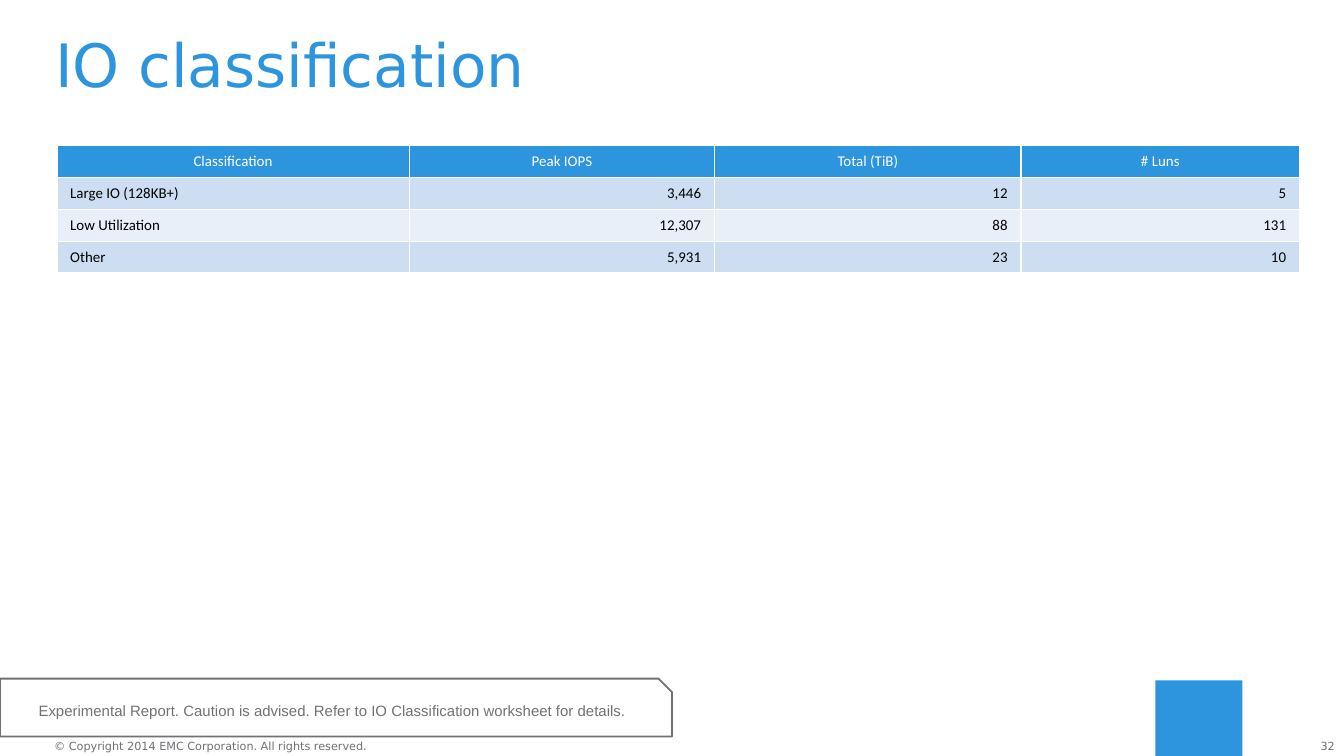
import pptx
import pptx.dml.color
import pptx.enum.shapes
import pptx.enum.text
import pptx.oxml
import pptx.oxml.ns
import pptx.util
from dataclasses import dataclass

Pt = pptx.util.Pt
Align = pptx.enum.text.PP_ALIGN
Anchor = pptx.enum.text.MSO_ANCHOR
Preset = pptx.enum.shapes.MSO_SHAPE


@dataclass(frozen=True)
class Theme:
    blue: str = "2C95DD"
    gray: str = "717074"
    white: str = "FFFFFF"
    black: str = "000000"
    bands: tuple = ("CDDDF2", "E8EFF9")
    title_size: float = 32
    body_size: float = 8
    footer_size: float = 6
    title_font: str = "DejaVu Sans"
    table_font: str = "Calibri"
    note_font: str = "Arial"


def color(value):
    return pptx.dml.color.RGBColor.from_string(value)


def set_values(target, values):
    for name, value in values.items():
        setattr(target, name, value)


class SlideBuilder:
    def __init__(self, slide, theme):
        self.slide = slide
        self.theme = theme

    def fill_text(self, frame, text, size, font, text_color, align=Align.LEFT, spacing=None):
        paragraph = frame.paragraphs[0]
        paragraph.text = text
        set_values(paragraph, {"alignment": align, "line_spacing": spacing})
        set_values(paragraph.font, {"size": Pt(size), "name": font, "bold": False})
        paragraph.font.color.rgb = color(text_color)

    def frame(self, shape, anchor, wrap=True):
        set_values(shape.text_frame, {
            "margin_left": 0, "margin_top": 0, "margin_right": 0, "margin_bottom": 0,
            "word_wrap": wrap, "vertical_anchor": anchor,
        })
        return shape.text_frame

    def text(self, box, text, size, text_color, anchor=Anchor.TOP, wrap=True, **layout):
        shape = self.slide.shapes.add_textbox(*map(Pt, box))
        self.fill_text(self.frame(shape, anchor, wrap), text, size,
                       self.theme.title_font, text_color, **layout)

    def shape(self, preset, box, fill, line=None):
        shape = self.slide.shapes.add_shape(preset, *map(Pt, box))
        shape.shadow.inherit = False
        shape.fill.solid()
        shape.fill.fore_color.rgb = color(fill)
        if line:
            shape.line.color.rgb = color(line)
            shape.line.width = Pt(1)
        else:
            shape.line.fill.background()
        return shape

    def note(self, box, text):
        theme = self.theme
        shape = self.shape(Preset.SNIP_1_RECTANGLE, box, theme.white, theme.gray)
        shape.adjustments[0] = 0.233
        self.fill_text(self.frame(shape, Anchor.MIDDLE), text, theme.body_size,
                       theme.note_font, theme.gray, Align.CENTER)

    def border(self, cell):
        properties = cell._tc.get_or_add_tcPr()
        for position, side in enumerate(("lnL", "lnR", "lnT", "lnB")):
            properties.insert(position, pptx.oxml.parse_xml(
                f'<a:{side} {pptx.oxml.ns.nsdecls("a")} w="{Pt(1)}"><a:solidFill>'
                f'<a:srgbClr val="{self.theme.white}"/></a:solidFill></a:{side}>'))

    def table(self, left, top, widths, row_height, rows):
        theme = self.theme
        table = self.slide.shapes.add_table(
            len(rows), len(widths), Pt(left), Pt(top),
            Pt(sum(widths)), Pt(row_height * len(rows))).table
        for column, width in zip(table.columns, widths):
            column.width = Pt(width)
        for row_index, row in enumerate(rows):
            table.rows[row_index].height = Pt(row_height)
            header = row_index == 0
            fill = theme.blue if header else theme.bands[(row_index - 1) % 2]
            for column_index, value in enumerate(row):
                cell = table.cell(row_index, column_index)
                cell.fill.solid()
                cell.fill.fore_color.rgb = color(fill)
                self.border(cell)
                body_align = Align.RIGHT if column_index else Align.LEFT
                self.fill_text(cell.text_frame, value, theme.body_size, theme.table_font,
                               theme.white if header else theme.black,
                               Align.CENTER if header else body_align)


def main():
    presentation = pptx.Presentation()
    presentation.slide_width = Pt(720)
    presentation.slide_height = Pt(405)
    theme = Theme()
    builder = SlideBuilder(
        presentation.slides.add_slide(presentation.slide_layouts[6]), theme)

    # Footer: page number, corner block and copyright line
    builder.text((692.6, 396, 22.5, 7.2), "32", theme.footer_size, theme.gray,
                 align=Align.RIGHT)
    builder.shape(Preset.RECTANGLE, (619, 364.5, 46.6, 40.5), theme.blue)
    builder.text((29, 396, 170.6, 7.2),
                 "© Copyright 2014 EMC Corporation. All rights reserved.",
                 theme.footer_size, theme.gray, wrap=False)

    # Title
    builder.text((29.5, 18, 666, 36), "IO classification", theme.title_size,
                 theme.blue, Anchor.BOTTOM, spacing=0.9)

    # Classification table
    builder.table(30.4, 78, (189, 163.5, 164.2, 149.2), 17.1, [
        ("Classification", "Peak IOPS", "Total (TiB)", "# Luns"),
        ("Large IO (128KB+)", "3,446", "12", "5"),
        ("Low Utilization", "12,307", "88", "131"),
        ("Other", "5,931", "23", "10"),
    ])

    # Caution note
    builder.note((0, 363.6, 360, 31),
                 "Experimental Report. Caution is advised. "
                 "Refer to IO Classification worksheet for details.")

    presentation.save("out.pptx")


if __name__ == "__main__":
    main()
